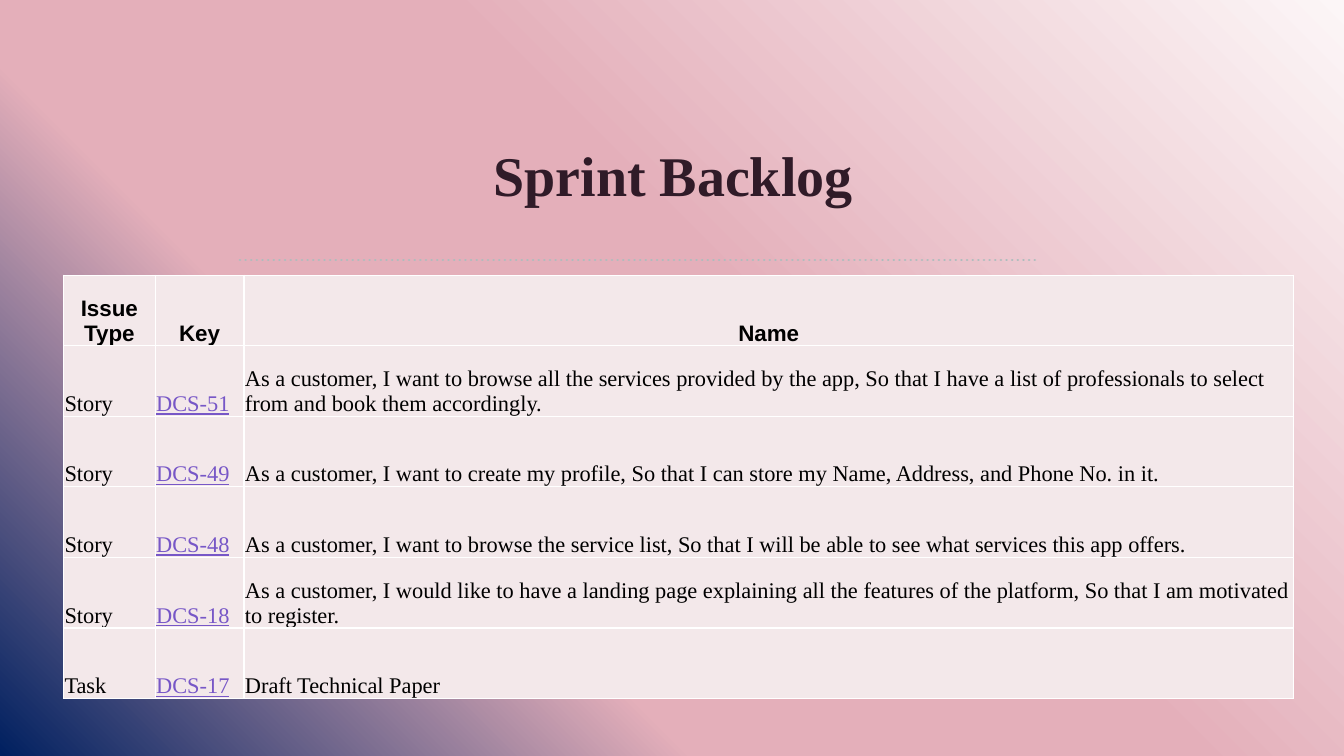
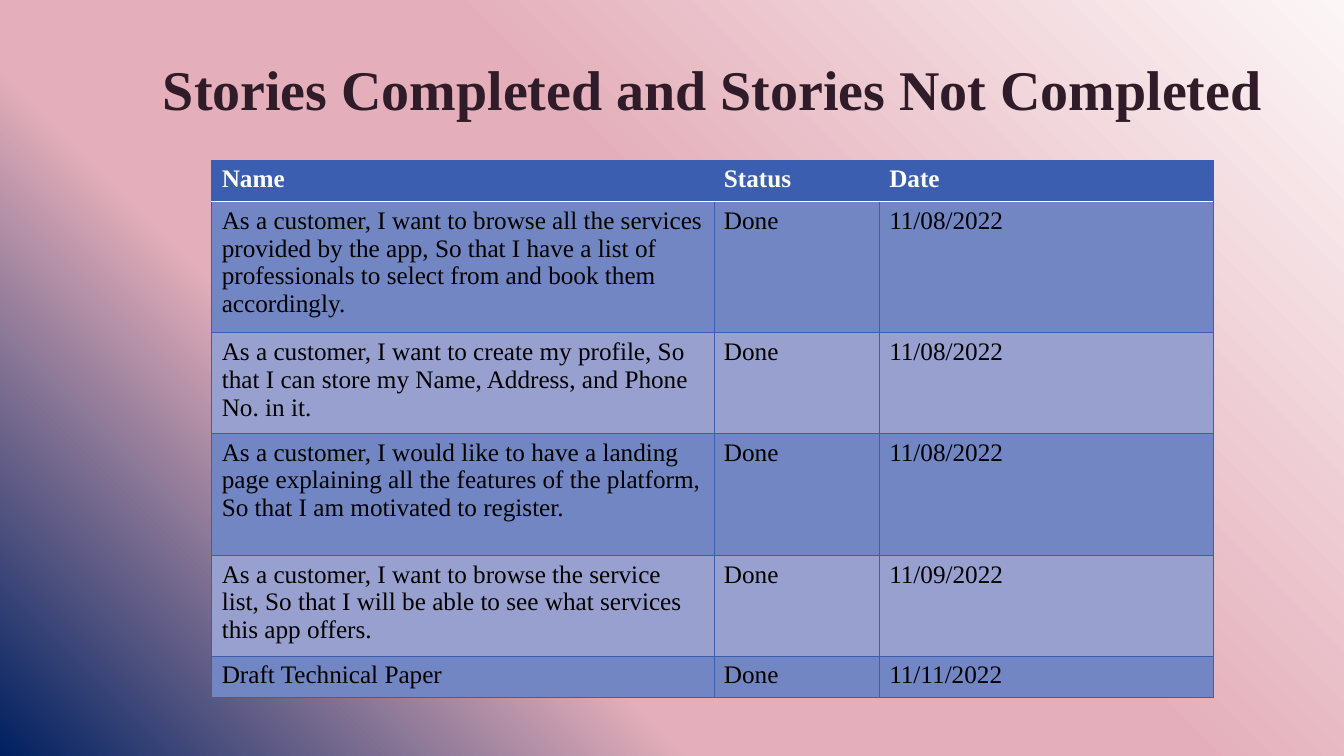
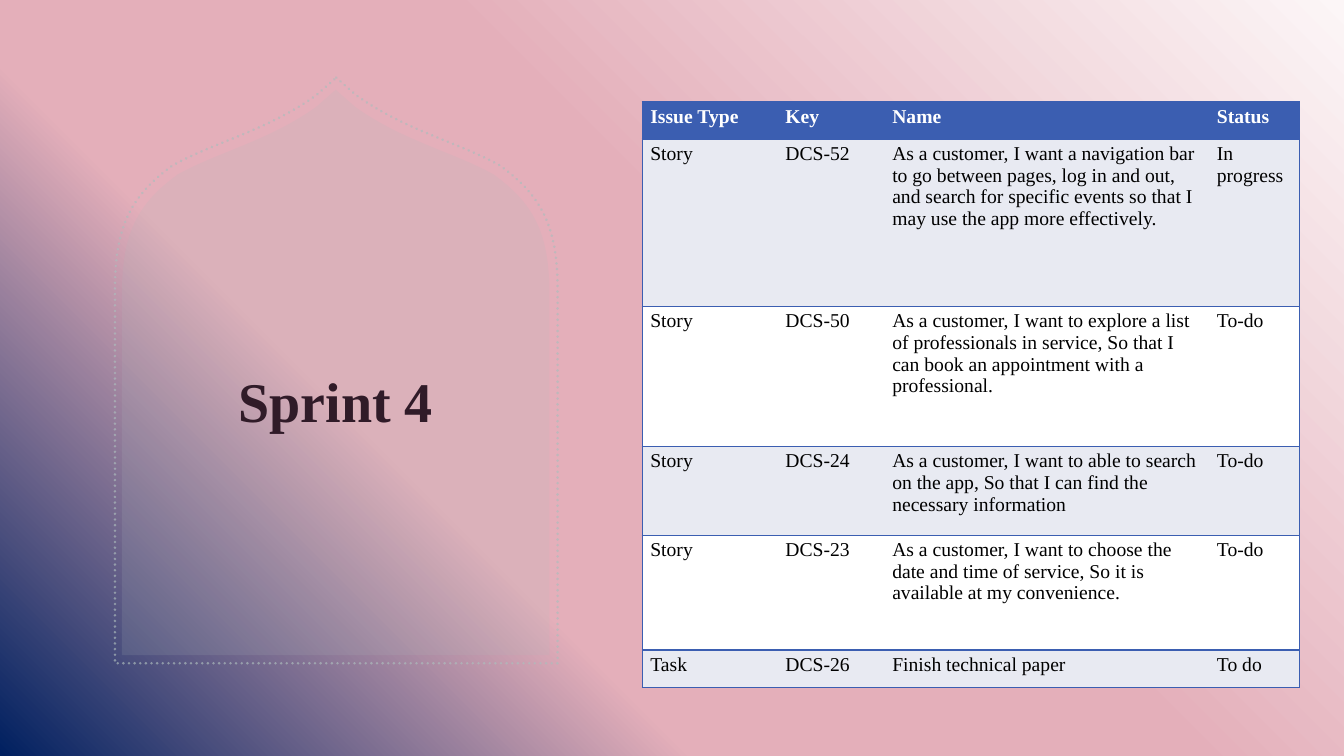
from lxml import etree
from pptx import Presentation
from pptx.dml.color import RGBColor
from pptx.enum.dml import MSO_LINE
from pptx.enum.shapes import MSO_CONNECTOR, MSO_SHAPE
from pptx.enum.text import MSO_ANCHOR, PP_ALIGN
from pptx.oxml.ns import qn
from pptx.util import Inches, Pt

LEFT, CENTER = PP_ALIGN.LEFT, PP_ALIGN.CENTER
TOP, MIDDLE, BOTTOM = MSO_ANCHOR.TOP, MSO_ANCHOR.MIDDLE, MSO_ANCHOR.BOTTOM
STRAIGHT, DOTTED = MSO_CONNECTOR.STRAIGHT, MSO_LINE.ROUND_DOT
RECTANGLE = MSO_SHAPE.RECTANGLE

SERIF, SANS = "Times New Roman", "Arial"
PLUM, GREY, BLUE = "301B28", "ADBDBD", "3B5EB1"
BLACK, WHITE, VIOLET, BLUSH = "000000", "FFFFFF", "7757C7", "F3E8EA"
MID_BLUE, SOFT_BLUE, PALE_BLUE = "7186C2", "97A0CF", "E8EAF2"
BACKDROP = ((0, "FCF6F7"), (43, "E4AFBA"), (67, "E4AFBA"), (100, "002060"))

# Right half of the arch: x in half widths from the axis, y in heights.
# One point is a straight step, three points are a curve.
ARCH = (
    [(0.09, 0.03)],
    [(0.31, 0.09), (0.55, 0.11), (0.74, 0.15)],
    [(0.92, 0.2), (1, 0.25), (1, 0.36)],
    [(1, 1)],
)
CURVE_STEPS = 16

BROWSE = ("As a customer, I want to browse all the services provided by the app, "
          "So that I have a list of professionals to select from and book them accordingly.")
PROFILE = ("As a customer, I want to create my profile, So that I can store my Name, "
           "Address, and Phone No. in it.")
SERVICES = ("As a customer, I want to browse the service list, So that I will be able "
            "to see what services this app offers.")
LANDING = ("As a customer, I would like to have a landing page explaining all the "
           "features of the platform, So that I am motivated to register.")
PAPER = "Draft Technical Paper"


def color(value):
    return RGBColor.from_string(value)


def write(frame, text, size=18, font=SERIF, ink=BLACK, bold=False,
          underline=False, align=LEFT):
    para = frame.paragraphs[0]
    para.alignment = align
    span = para.add_run()
    span.text = text
    span.font.size = Pt(size)
    span.font.name = font
    span.font.bold = bold
    span.font.underline = underline
    span.font.color.rgb = color(ink)


def fill_backdrop(fill, element):
    """Give a fill the deck's gradient; element is the part that holds it."""
    fill.gradient()
    fill.gradient_angle = 225
    stops = next(element.iter(qn("a:gsLst")))
    for stop in list(stops):
        stops.remove(stop)
    for position, tint in BACKDROP:
        stop = etree.SubElement(stops, qn("a:gs"), pos=str(position * 1000))
        etree.SubElement(stop, qn("a:srgbClr"), val=tint)


def set_alpha(part, percent):
    for tint in part.iter(qn("a:srgbClr")):
        etree.SubElement(tint, qn("a:alpha"), val=str(percent * 1000))


def set_border(cell, side, line):
    """Draw one cell edge; line is (colour, points) or None."""
    edge = etree.SubElement(cell._tc.get_or_add_tcPr(), qn("a:ln" + side))
    if line is None:
        edge.set("w", "0")
        etree.SubElement(edge, qn("a:noFill"))
        return
    ink, width = line
    edge.set("w", str(Pt(width)))
    fill = etree.SubElement(edge, qn("a:solidFill"))
    etree.SubElement(fill, qn("a:srgbClr"), val=ink)


def arch_points():
    """Return the right half of the arch with its curves as short steps."""
    points = [(0, 0)]
    for step in ARCH:
        if len(step) == 1:
            points += step
            continue
        corners = [points[-1], *step]
        for index in range(1, CURVE_STEPS + 1):
            t = index / CURVE_STEPS
            weights = ((1 - t) ** 3, 3 * t * (1 - t) ** 2, 3 * t * t * (1 - t), t ** 3)
            points.append(tuple(sum(w * corner[axis] for w, corner in zip(weights, corners))
                                for axis in (0, 1)))
    return points


class SprintDeck:
    def __init__(self):
        self.deck = Presentation()
        self.deck.slide_width = Inches(13.33)
        self.deck.slide_height = Inches(7.5)
        self.page = None
        master = self.deck.slide_master
        fill_backdrop(master.background.fill, master.element)

    def new_page(self):
        self.page = self.deck.slides.add_slide(self.deck.slide_layouts[6])

    def backdrop_panel(self):
        panel = self.page.shapes.add_shape(
            RECTANGLE, 0, 0, self.deck.slide_width, self.deck.slide_height)
        panel.shadow.inherit = False
        panel.line.fill.background()
        fill_backdrop(panel.fill, panel.element)

    def title(self, text, at, anchor=MIDDLE):
        box = self.page.shapes.add_textbox(*map(Inches, at))
        box.text_frame.word_wrap = True
        box.text_frame.vertical_anchor = anchor
        write(box.text_frame, text, size=40, ink=PLUM, bold=True, align=CENTER)

    def dot_line(self, shape):
        shape.line.color.rgb = color(GREY)
        shape.line.width = Pt(2)
        shape.line.dash_style = DOTTED
        next(shape.element.iter(qn("a:ln"))).set("cap", "rnd")

    def rule(self, start, end):
        rule = self.page.shapes.add_connector(STRAIGHT, *map(Inches, start + end))
        self.dot_line(rule)
        etree.SubElement(rule.element.spPr, qn("a:effectLst"))

    def arch(self, at, filled):
        left, top, width, height = at
        half = arch_points()
        outline = half + [(-x, y) for x, y in reversed(half[1:])]
        points = [(Inches(left + width / 2 * (1 + x)), Inches(top + height * y))
                  for x, y in outline]
        builder = self.page.shapes.build_freeform(*points[0])
        builder.add_line_segments(points[1:], close=True)
        arch = builder.convert_to_shape()
        arch.shadow.inherit = False
        if filled:
            arch.fill.solid()
            arch.fill.fore_color.rgb = color(GREY)
            arch.line.fill.background()
            set_alpha(arch.element.spPr, 15)
        else:
            arch.fill.background()
            self.dot_line(arch)
            set_alpha(arch.element.spPr, 65)

    def table(self, left, top, widths, heights, rows, fills, line, header, body,
              header_rule=None, inner_columns=True, links=None,
              insets=(0.1, 0.05, 0.1, 0.05), anchor=TOP):
        """fills holds the header fill, then the two alternating row fills."""
        frame = self.page.shapes.add_table(
            len(rows), len(widths), Inches(left), Inches(top),
            Inches(sum(widths)), Inches(sum(heights)))
        table = frame.table
        table.first_row = table.horz_banding = False
        for column, width in zip(table.columns, widths):
            column.width = Inches(width)
        for row, height in zip(table.rows, heights):
            row.height = Inches(height)

        last = len(widths) - 1
        inner = line if inner_columns else None
        header_rule = header_rule or line
        for r, texts in enumerate(rows):
            for c, text in enumerate(texts):
                cell = table.cell(r, c)
                # Borders come before the fill in the cell properties
                set_border(cell, "L", line if c == 0 else inner)
                set_border(cell, "R", line if c == last else inner)
                set_border(cell, "T", header_rule if r == 1 else line)
                set_border(cell, "B", header_rule if r == 0 else line)
                cell.fill.solid()
                cell.fill.fore_color.rgb = color(fills[0] if r == 0 else fills[2 - r % 2])
                (cell.margin_left, cell.margin_top,
                 cell.margin_right, cell.margin_bottom) = map(Inches, insets)
                cell.vertical_anchor = anchor
                style = dict(header if r == 0 else body)
                if r and c == links:
                    style.update(ink=VIOLET, underline=True)
                write(cell.text_frame, text, **style)

    def save(self):
        self.deck.save("out.pptx")


def main():
    deck = SprintDeck()

    # Sprint backlog
    deck.new_page()
    deck.title("Sprint Backlog", (1.05, 1.03, 11.25, 1.4))
    deck.rule((2.38, 2.58), (10.27, 2.58))
    deck.table(
        0.63, 2.73, (0.91, 0.88, 10.41), [0.7] * 6,
        [("Issue Type", "Key", "Name"),
         ("Story", "DCS-51", BROWSE),
         ("Story", "DCS-49", PROFILE),
         ("Story", "DCS-48", SERVICES),
         ("Story", "DCS-18", LANDING),
         ("Task", "DCS-17", PAPER)],
        fills=(BLUSH, BLUSH, BLUSH), line=(WHITE, 1),
        header=dict(size=16, font=SANS, bold=True, align=CENTER), body=dict(size=16),
        links=1, insets=(0.01, 0.01, 0.01, 0), anchor=BOTTOM)

    # Completed stories: rows grow with their text
    deck.new_page()
    deck.title("Stories Completed and Stories Not Completed", (0.89, 0.29, 12.35, 1.16))
    deck.table(
        2.1, 1.59, (4.98, 1.64, 3.31), (0.41, 0.41, 0.41, 1.21, 0.41, 0.41),
        [("Name", "Status", "Date"),
         (BROWSE, "Done", "11/08/2022"),
         (PROFILE, "Done", "11/08/2022"),
         (LANDING, "Done", "11/08/2022"),
         (SERVICES, "Done", "11/09/2022"),
         (PAPER, "Done", "11/11/2022")],
        fills=(BLUE, MID_BLUE, SOFT_BLUE), line=(BLUE, 0.5), header_rule=(WHITE, 1),
        header=dict(ink=WHITE, bold=True), body={})

    # Sprint 4
    deck.new_page()
    deck.backdrop_panel()
    deck.arch((1.21, 0.89, 4.24, 5.61), filled=True)
    deck.title("Sprint 4", (1.61, 2, 3.44, 2.35), anchor=BOTTOM)
    deck.arch((1.14, 0.77, 4.39, 5.81), filled=False)
    deck.table(
        6.37, 1.01, (1.34, 1.06, 3.22, 0.9), (0.37, 1.66, 1.39, 0.88, 1.14, 0.37),
        [("Issue Type", "Key", "Name", "Status"),
         ("Story", "DCS-52", "As a customer, I want a navigation bar to go between pages, "
          "log in and out, and search for specific events so that I may use the app more "
          "effectively.", "In progress"),
         ("Story", "DCS-50", "As a customer, I want to explore a list of professionals in "
          "service, So that I can book an appointment with a professional.", "To-do"),
         ("Story", "DCS-24", "As a customer, I want to able to search on the app, So that I "
          "can find the necessary information", "To-do"),
         ("Story", "DCS-23", "As a customer, I want to choose the date and time of service, "
          "So it is available at my convenience.", "To-do"),
         ("Task", "DCS-26", "Finish technical paper", "To do")],
        fills=(BLUE, PALE_BLUE, WHITE), line=(BLUE, 1), inner_columns=False,
        header=dict(size=14, ink=WHITE, bold=True), body=dict(size=14),
        insets=(0.08, 0.04, 0.08, 0.04))

    deck.save()


if __name__ == "__main__":
    main()
